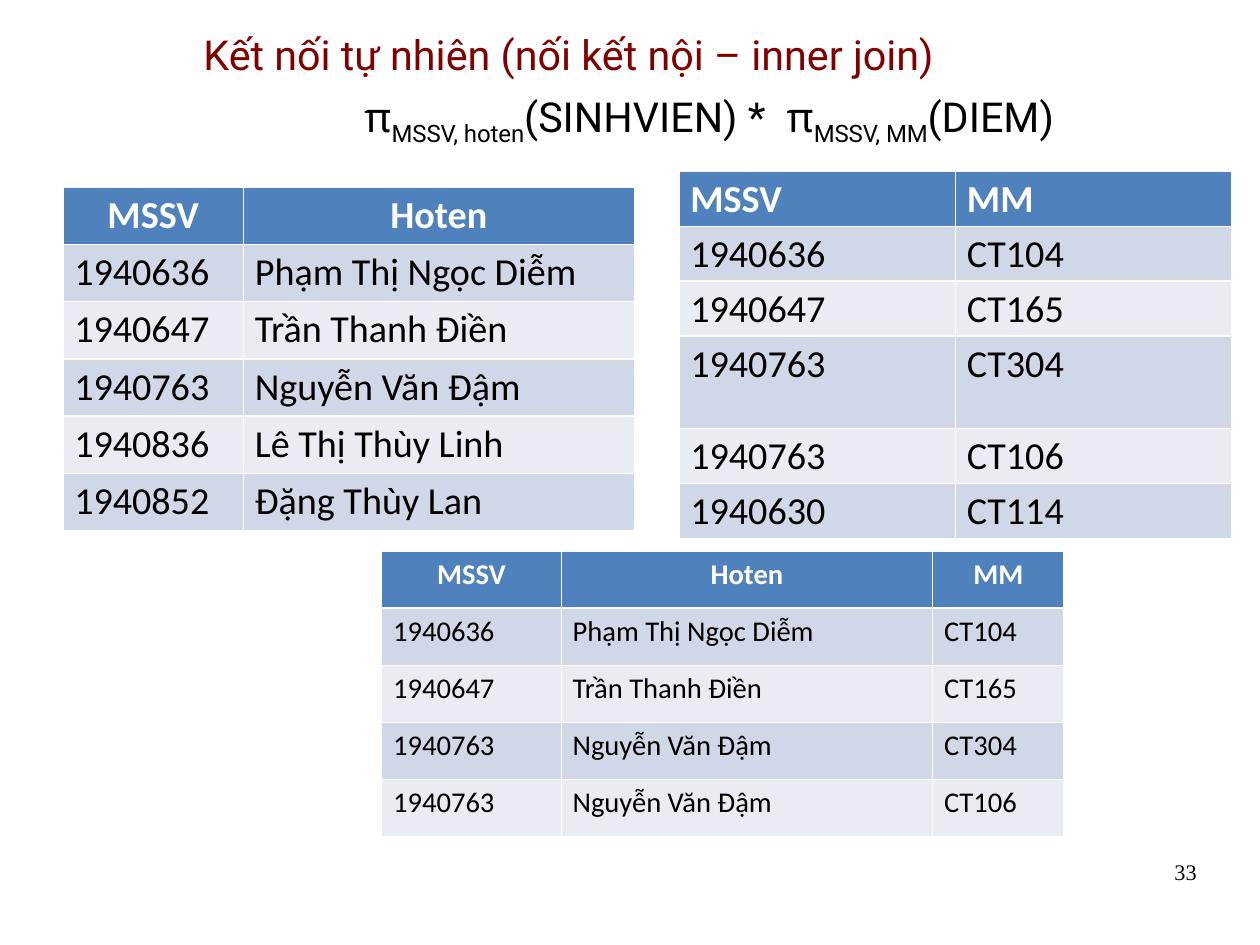
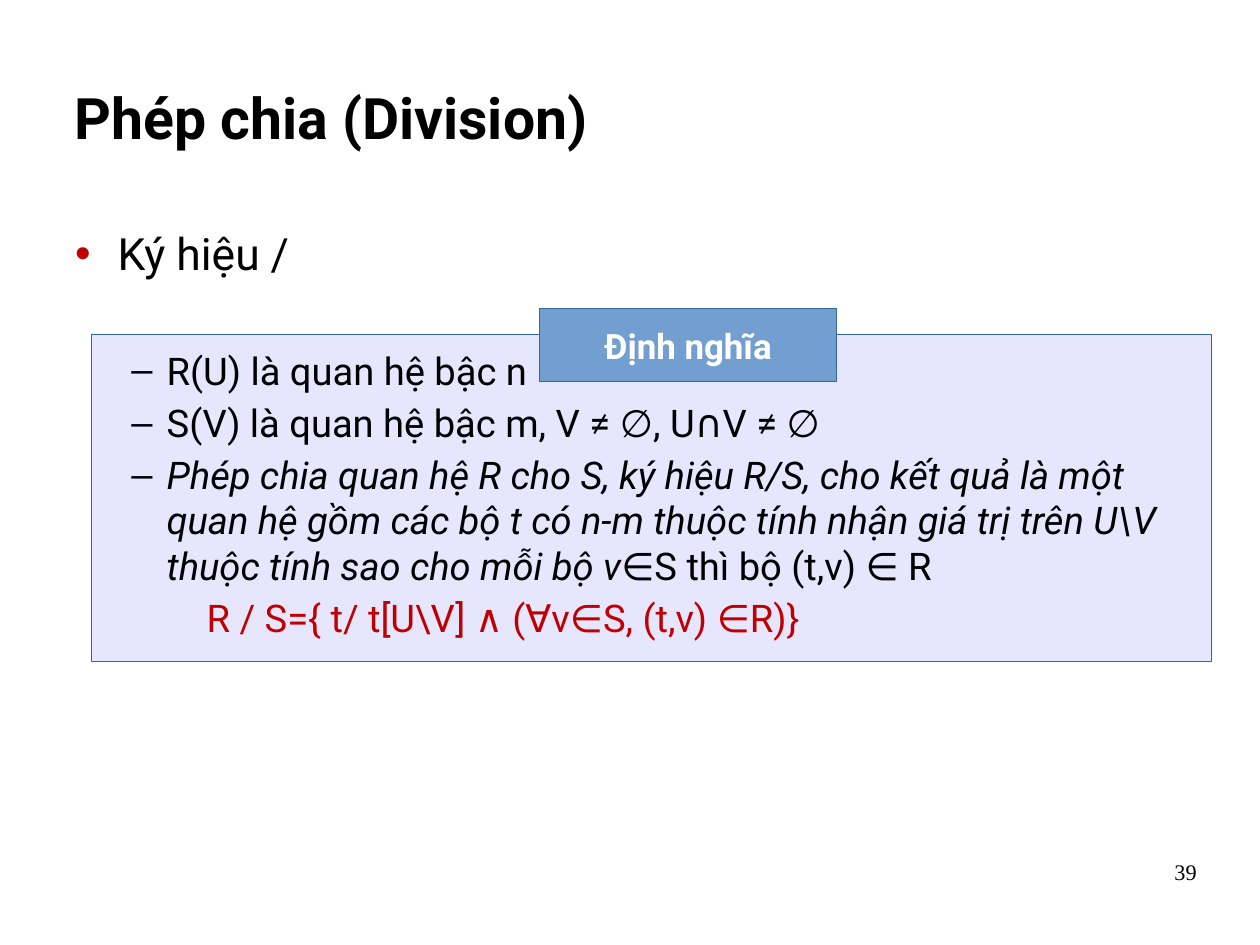
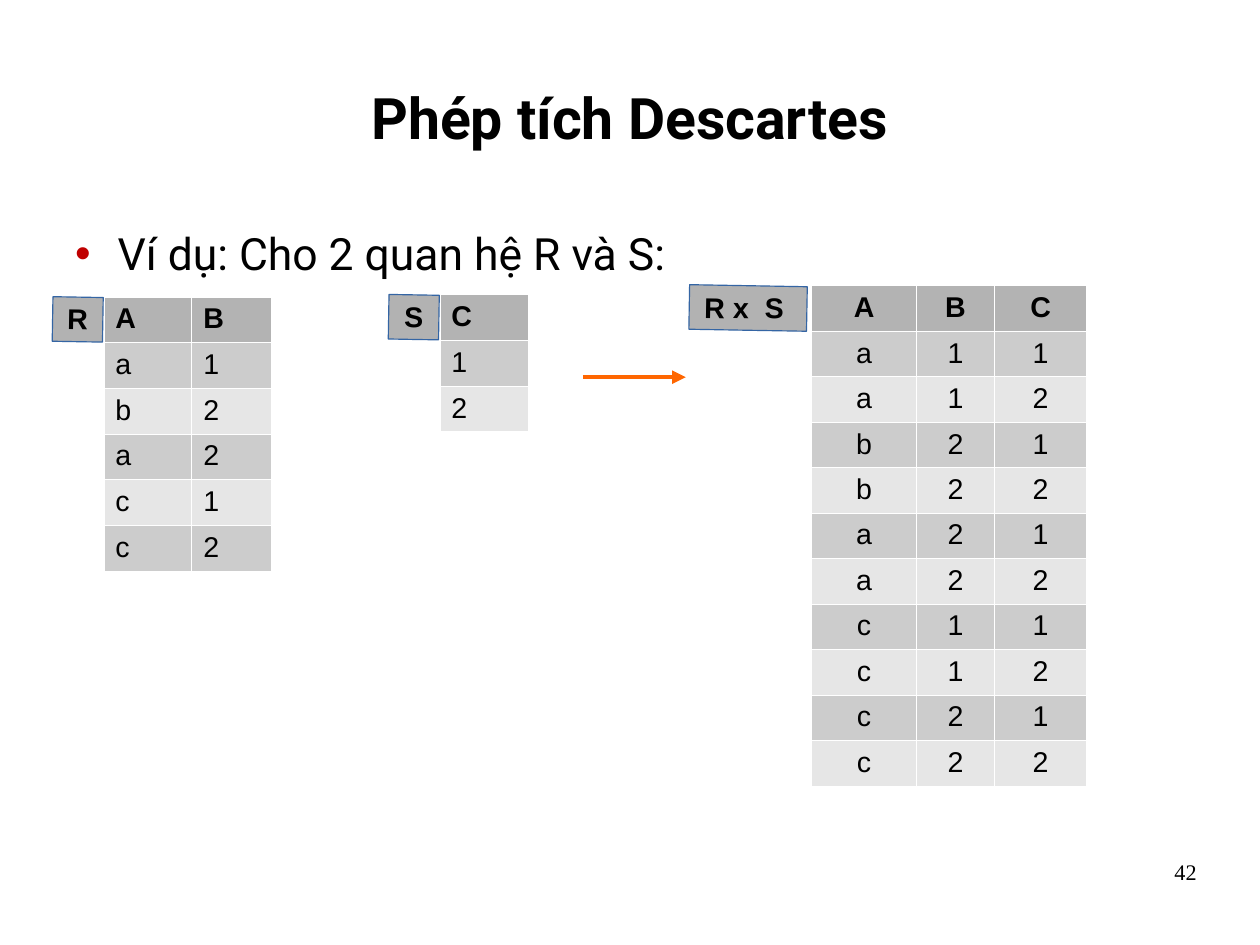
from itertools import groupby

from lxml import etree
from pptx import Presentation
from pptx.dml.color import RGBColor
from pptx.enum import shapes as kinds, text as txt
from pptx.oxml.ns import qn
from pptx.util import Cm, Inches, Pt

COLORS = {
    "ink": "000000", "white": "FFFFFF", "maroon": "800000", "red": "C00000",
    "line": "3465A4", "label": "729FCF", "panel": "E6E6FF", "tag": "B2B2B2",
    "arrow": "FF6600",
}
BLUE_TABLE = dict(fills=("4F81BD", "D0D8E7", "E9ECF3"), head="white",
                  font="Calibri", spacing=0.83, top=0.09, border=0.96)
GREY_TABLE = dict(fills=("B3B3B3", "CCCCCC", "E6E6E6"), head="ink",
                  font="Arial", spacing=0.93, top=0.07, border=0.75)
LEFT, CENTER, RIGHT = (txt.PP_ALIGN.LEFT, txt.PP_ALIGN.CENTER,
                       txt.PP_ALIGN.RIGHT)
MIDDLE, TOP = txt.MSO_ANCHOR.MIDDLE, txt.MSO_ANCHOR.TOP
MATH_SIGNS = "π∅∩∈∧∀"
TITLE_BOX = (0.55, 0.33, 9.92, 1.38)
BODY_BOX = (0.55, 1.93, 9.92, 5.46)
NUMBER_BOX = (7.9, 7.53, 2.57, 0.57)


def rgb(color):
    return RGBColor.from_string(COLORS.get(color, color))


def inches(box):
    return [Inches(length) for length in box]


def add_xml(parent, tag, **attributes):
    return etree.SubElement(parent, qn(tag), **attributes)


# Text
def write_run(paragraph, words, size=24, font="Roboto", color="ink",
              bold=False, italic=False, sub=False):
    """Add words to a paragraph, with mathematical signs in their own font."""
    for is_sign, letters in groupby(words, lambda sign: sign in MATH_SIGNS):
        run = paragraph.add_run()
        run.text = "".join(letters)
        face = "Noto Sans" if is_sign else font
        run.font.name, run.font.size = face, Pt(size)
        run.font.bold, run.font.italic = bold, italic and not is_sign
        run.font.color.rgb = rgb(color)
        properties = run.font._element
        for script in ("a:ea", "a:cs"):
            add_xml(properties, script, typeface=face)
        if sub:
            properties.set("baseline", "-25000")


def write_paragraph(paragraph, runs, align=LEFT, spacing=1.0, before=0,
                    margin=0, hang=0, bullet=None, bullet_color="red",
                    **style):
    """Runs are a string, or a list of strings and (string, style) pairs."""
    paragraph.alignment = align
    paragraph.line_spacing = spacing
    paragraph.space_before = Pt(before)
    properties = paragraph._p.get_or_add_pPr()
    properties.set("marL", str(Inches(margin)))
    properties.set("indent", str(-Inches(hang)))
    if bullet:
        add_xml(add_xml(properties, "a:buClr"), "a:srgbClr",
                val=COLORS[bullet_color])
        add_xml(properties, "a:buFont", typeface="Arial")
        add_xml(properties, "a:buChar", char=bullet)
    for run in [runs] if isinstance(runs, str) else runs:
        words, extra = (run, {}) if isinstance(run, str) else run
        write_run(paragraph, words, **{**style, **extra})


def set_frame(frame, anchor=TOP, side=0.1, top=0.05, bottom=0.05):
    frame.word_wrap = True
    frame.auto_size = txt.MSO_AUTO_SIZE.NONE
    frame.vertical_anchor = anchor
    frame.margin_left = frame.margin_right = Inches(side)
    frame.margin_top, frame.margin_bottom = Inches(top), Inches(bottom)


def add_text(slide, box, paragraphs, **frame_format):
    frame = slide.shapes.add_textbox(*inches(box)).text_frame
    set_frame(frame, **frame_format)
    for index, (runs, style) in enumerate(paragraphs):
        paragraph = frame.add_paragraph() if index else frame.paragraphs[0]
        write_paragraph(paragraph, runs, **style)


# Parts shared by the slides
def start_slide(deck, number, heading, box=TITLE_BOX, anchor=MIDDLE, **style):
    slide = deck.slides.add_slide(deck.slide_layouts[5])
    title = slide.shapes.title
    title.left, title.top, title.width, title.height = inches(box)
    set_frame(title.text_frame, anchor=anchor)
    write_paragraph(title.text_frame.paragraphs[0], heading,
                    **{"size": 36, "bold": True, **style})
    add_text(slide, NUMBER_BOX,
             [(number, dict(size=14, font="Times New Roman", align=RIGHT,
                            spacing=0.93))],
             side=0, top=0, bottom=0)
    return slide


def add_box(slide, box, fill, words="", rotation=0, top=0.05, **style):
    rectangle = slide.shapes.add_shape(kinds.MSO_SHAPE.RECTANGLE, *inches(box))
    rectangle.shadow.inherit = False
    rectangle.rotation = rotation
    rectangle.fill.solid()
    rectangle.fill.fore_color.rgb = rgb(fill)
    rectangle.line.color.rgb = rgb("line")
    rectangle.line.width = Pt(0.75)
    if words:
        set_frame(rectangle.text_frame, anchor=MIDDLE, top=top)
        write_paragraph(rectangle.text_frame.paragraphs[0], words,
                        align=CENTER, bold=True, **style)


def format_cell(cell, fill, theme):
    cell.margin_left = cell.margin_right = Inches(0.1)
    cell.margin_top, cell.margin_bottom = Inches(theme["top"]), Inches(0.05)
    properties = cell._tc.get_or_add_tcPr()
    for side in ("a:lnL", "a:lnR", "a:lnT", "a:lnB"):
        border = add_xml(properties, side, w=str(Pt(theme["border"])))
        add_xml(add_xml(border, "a:solidFill"), "a:srgbClr",
                val=COLORS["white"])
    cell.fill.solid()
    cell.fill.fore_color.rgb = rgb(fill)


def add_relation(slide, corner, widths, heights, rows, theme, size=18,
                 head_align=LEFT, align=LEFT):
    """Draw a relation: a heading row, then rows in two alternating fills."""
    frame = slide.shapes.add_table(
        len(rows), len(widths),
        *inches((*corner, sum(widths), sum(heights))))
    table = frame.table
    table.first_row = table.horz_banding = False
    for column, width in zip(table.columns, widths):
        column.width = Inches(width)
    for index, (row, height, values) in enumerate(
            zip(table.rows, heights, rows)):
        row.height = Inches(height)
        head = index == 0
        fill = theme["fills"][0 if head else 2 - index % 2]
        for cell, value in zip(row.cells, values):
            format_cell(cell, fill, theme)
            write_paragraph(cell.text_frame.paragraphs[0], value,
                            align=head_align if head else align,
                            spacing=theme["spacing"], size=size, bold=head,
                            font=theme["font"],
                            color=theme["head"] if head else "ink")


def add_named_relation(slide, box, name, name_width, gap, widths, rows,
                       align=LEFT):
    """Share the height among the rows and put the name at the left."""
    left, top, height = box
    add_relation(slide, (left, top), widths, [height / len(rows)] * len(rows),
                 rows, GREY_TABLE, head_align=align, align=align)
    add_box(slide, (left - gap - name_width, top, name_width, 0.39), "tag",
            name, rotation=1, top=0.07, size=18, font="Arial", spacing=0.93)


def add_arrow(slide, start, end):
    arrow = slide.shapes.add_connector(kinds.MSO_CONNECTOR.STRAIGHT,
                                       *inches((*start, *end)))
    arrow.line.color.rgb = rgb("arrow")
    arrow.line.width = Pt(2.89)
    properties = arrow._element.spPr
    add_xml(properties.find(qn("a:ln")), "a:tailEnd", type="triangle")
    add_xml(properties, "a:effectLst")


# Slides
def natural_join(deck):
    slide = start_slide(deck, "33",
                        "Kết nối tự nhiên (nối kết nội – inner join)",
                        box=(1.68, 0.21, 9, 0.52), anchor=TOP,
                        size=26, bold=False, color="maroon")
    low = dict(sub=True)
    add_text(slide, (3.09, 0.75, 7.59, 0.65), [
        (["π", ("MSSV, hoten", low), "(SINHVIEN) *  π", ("MSSV, MM", low),
          "(DIEM)"], dict(size=26))])

    students = [("1940636", "Phạm Thị Ngọc Diễm"),
                ("1940647", "Trần Thanh Điền"),
                ("1940763", "Nguyễn Văn Đậm"),
                ("1940836", "Lê Thị Thùy Linh"),
                ("1940852", "Đặng Thùy Lan")]
    marks = [("1940636", "CT104"), ("1940647", "CT165"), ("1940763", "CT304"),
             ("1940763", "CT106"), ("1940630", "CT114")]
    names = dict(students)
    joined = [(code, names[code], course) for code, course in marks
              if code in names]

    add_relation(slide, (3.34, 4.82), (1.57, 3.25, 1.15), [0.5] * 5,
                 [("MSSV", "Hoten", "MM")] + joined, BLUE_TABLE,
                 head_align=CENTER)
    add_relation(slide, (0.55, 1.64), (1.58, 3.42), [0.5] * 6,
                 [("MSSV", "Hoten")] + students, BLUE_TABLE, size=24,
                 head_align=CENTER)
    add_relation(slide, (5.94, 1.5), (2.42, 2.42),
                 [0.48, 0.48, 0.48, 0.81, 0.48, 0.48],
                 [("MSSV", "MM")] + marks, BLUE_TABLE, size=24)


TOPIC = dict(size=28, margin=0.38, hang=0.37, bullet="•")
POINT = dict(size=24, margin=0.81, hang=0.31, before=4, bullet="–",
             bullet_color="ink")


def division(deck):
    slide = start_slide(deck, "39", "Phép chia (Division)")
    add_box(slide, (0.8, 2.93, 9.8, 2.86), "panel")
    add_box(slide, (4.72, 2.7, 2.6, 0.64), "label", "Định nghĩa",
            size=22, color="white")
    add_text(slide, BODY_BOX, [
        ("Ký hiệu /", TOPIC),
        ("R(U) là quan hệ bậc n", {**POINT, "before": 42.5}),
        ("S(V) là quan hệ bậc m, V ≠ ∅, U∩V ≠ ∅", POINT),
        ([("Phép chia quan hệ R cho S, ký hiệu R/S, cho kết quả là một "
           "quan hệ gồm các bộ t có n-m thuộc tính nhận giá trị trên U\\V "
           "thuộc tính sao cho mỗi bộ v", dict(italic=True)),
          "∈S thì bộ (t,v) ∈ R"], POINT),
        ("R / S={ t/ t[U\\V] ∧ (∀v∈S, (t,v) ∈R)}",
         dict(size=24, margin=1.16, before=4, color="red")),
    ])


def cartesian_product(deck):
    slide = start_slide(deck, "42", "Phép tích Descartes", align=CENTER)
    add_text(slide, BODY_BOX, [("Ví dụ: Cho 2 quan hệ R và S:", TOPIC)])
    r_rows = ["a1", "b2", "a2", "c1", "c2"]
    s_rows = ["1", "2"]
    product = [r + s for r in r_rows for s in s_rows]
    add_named_relation(slide, (0.91, 2.6, 2.4), "R", 0.44, 0.01, (0.77, 0.7),
                       ["AB"] + r_rows)
    add_named_relation(slide, (3.85, 2.58, 1.2), "S", 0.44, 0.01, (0.77,),
                       ["C"] + s_rows)
    add_named_relation(slide, (7.1, 2.5, 4.38), "R x  S ", 1.03, 0.04,
                       (0.92, 0.68, 0.81), ["ABC"] + product, align=CENTER)
    add_arrow(slide, (5.1, 3.3), (6, 3.3))


def main():
    deck = Presentation()
    deck.slide_width = Cm(28)
    deck.slide_height = Cm(21)
    natural_join(deck)
    division(deck)
    cartesian_product(deck)
    deck.save("out.pptx")


if __name__ == "__main__":
    main()
